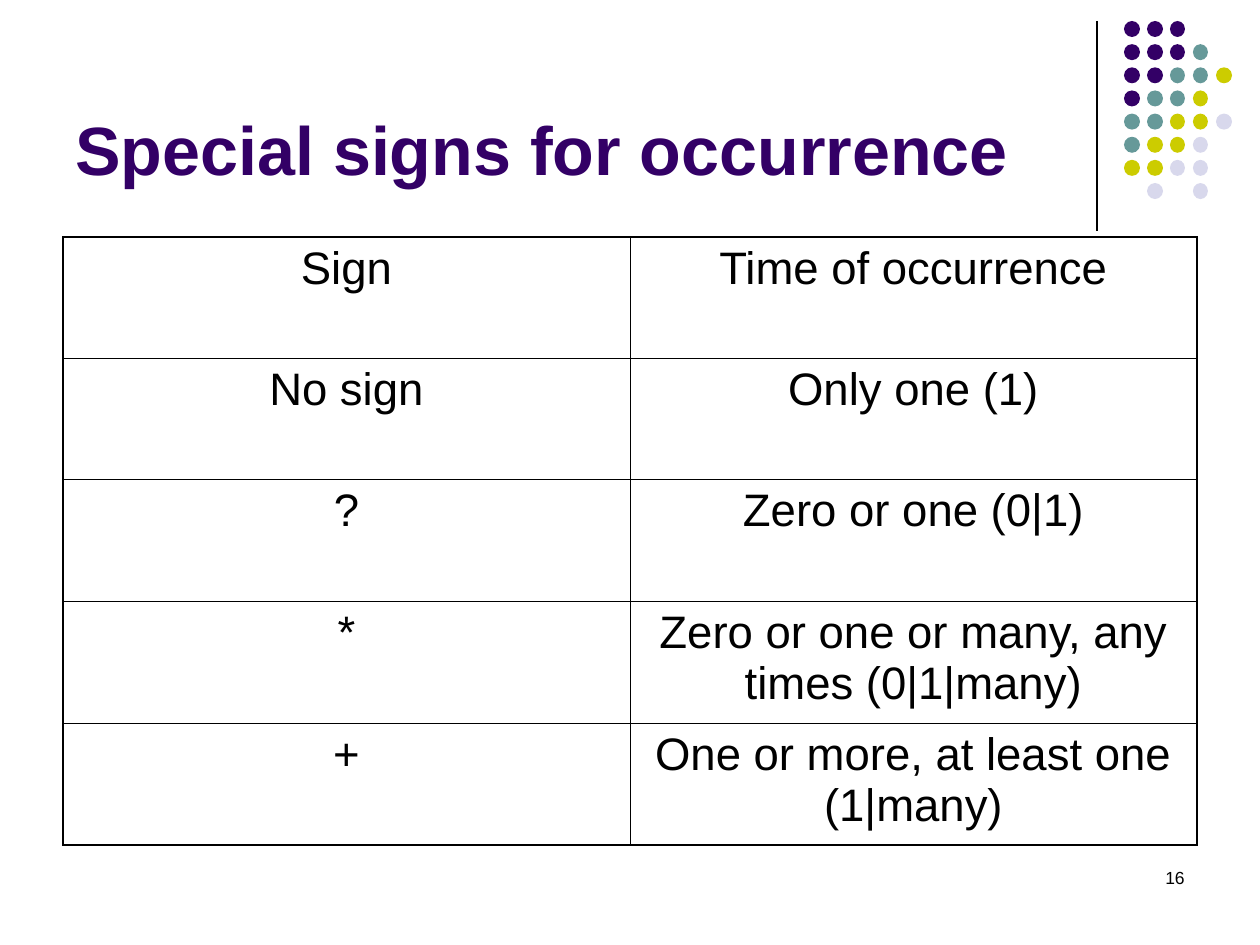
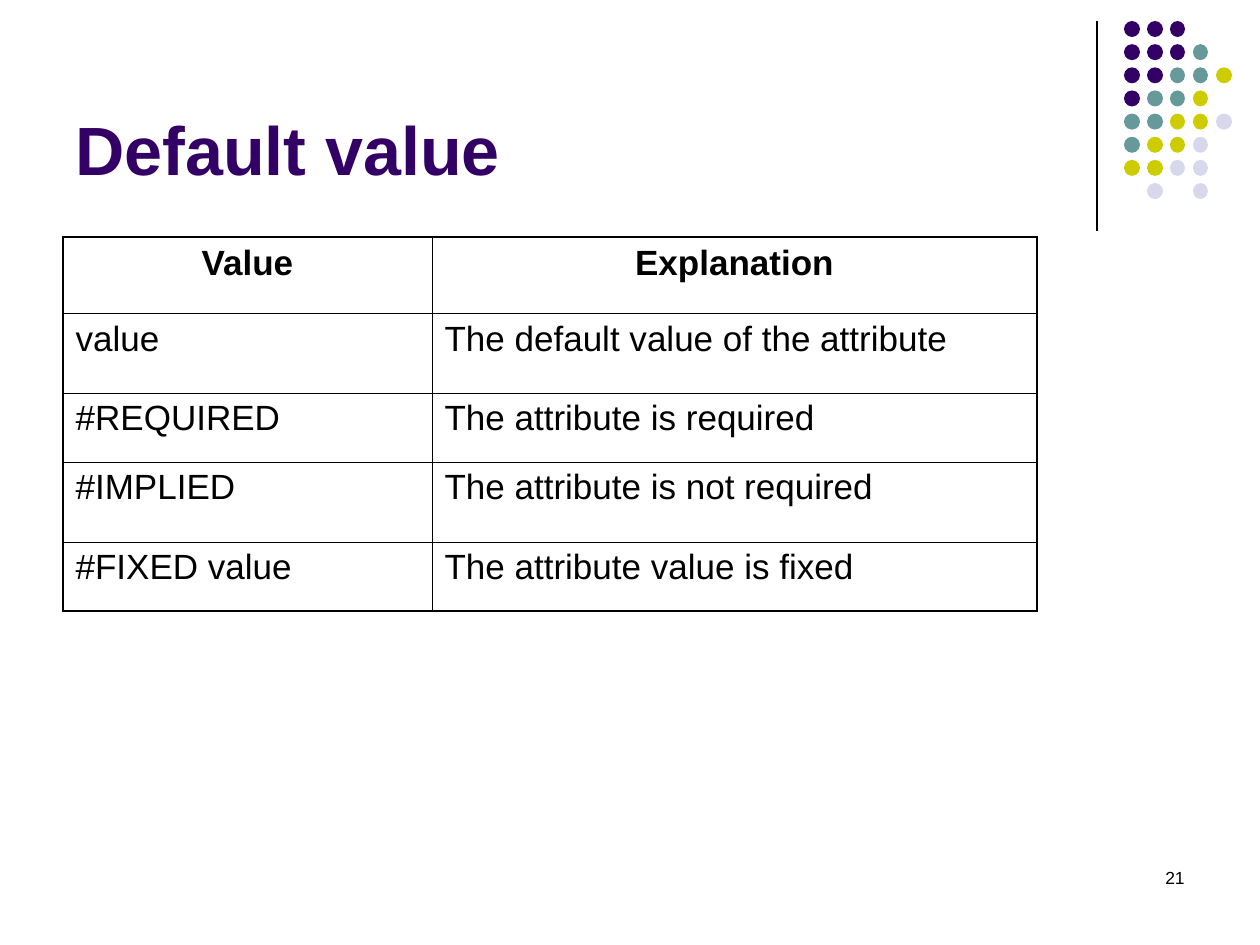
from lxml import etree
from pptx import Presentation
from pptx import util as u
from pptx.dml.color import RGBColor
from pptx.enum import shapes, text
from pptx.oxml.ns import qn

PX = 914400 / 126  # EMU in one pixel
FONT = "Arial"
HEX = {"ink": "000000", "violet": "330066", "teal": "669999",
       "lime": "CCCC00", "mist": "D8D8EC"}

# Dot pattern: one letter per dot, a space for a gap
DOTS = ["vvv", "vvvt", "vvttl", "vttl", "ttllm", "tllm", "llmm", " m m"]
KEYS = {"v": "violet", "t": "teal", "l": "lime", "m": "mist"}

LEFT, CENTER, RIGHT = (text.PP_ALIGN.LEFT, text.PP_ALIGN.CENTER,
                       text.PP_ALIGN.RIGHT)
THIN, THICK = 0.45, 1.08

SIGNS = [("Sign", "Time of occurrence"),
         ("No sign", "Only one (1)"),
         ("?", "Zero or one (0|1)"),
         ("*", "Zero or one or many, any times (0|1|many)"),
         ("+", "One or more, at least one (1|many)")]
VALUES = [("Value", "Explanation"),
          ("value", "The default value of the attribute"),
          ("#REQUIRED", "The attribute is required"),
          ("#IMPLIED", "The attribute is not required"),
          ("#FIXED value", "The attribute value is fixed")]


def px(n):
    return u.Emu(round(n * PX))


def color(name):
    return RGBColor.from_string(HEX[name])


def write(para, words, size, tint="ink", bold=False, align=LEFT):
    para.alignment = align
    run = para.add_run()
    run.text = words
    run.font.name = FONT
    run.font.size = u.Pt(size)
    run.font.bold = bold
    run.font.color.rgb = color(tint)


def label(slide, box, words, size, anchor=text.MSO_ANCHOR.TOP, **style):
    frame = slide.shapes.add_textbox(*map(px, box)).text_frame
    frame.word_wrap = True
    frame.vertical_anchor = anchor
    write(frame.paragraphs[0], words, size, **style)


def rule(slide, x, top, end):
    line = slide.shapes.add_connector(
        shapes.MSO_CONNECTOR.STRAIGHT, px(x), px(top), px(x), px(end))
    line.line.color.rgb = color("ink")
    line.line.width = u.Pt(0.74)
    props = line._element.spPr
    etree.SubElement(props, qn("a:effectLst"))


def dots(slide):
    group = slide.shapes.add_group_shape()
    for row, marks in enumerate(DOTS):
        for col, mark in enumerate(marks):
            if mark == " ":
                continue
            wide = 15 if col in (2, 3) else 16
            dot = group.shapes.add_shape(
                shapes.MSO_SHAPE.OVAL, px(1124 + 23 * col),
                px(21 + 23.15 * row), px(wide), px(16))
            dot.shadow.inherit = False
            dot.fill.solid()
            dot.fill.fore_color.rgb = color(KEYS[mark])
            dot.line.fill.background()


def edge(cell, side, width):
    props = cell._tc.get_or_add_tcPr()
    line = etree.SubElement(props, qn("a:ln" + side), w=str(u.Pt(width)))
    fill = etree.SubElement(line, qn("a:solidFill"))
    etree.SubElement(fill, qn("a:srgbClr"), val=HEX["ink"])


def grid(slide, rows, wides, highs, size, gap, bold, align):
    """Table with a thick frame; bold is for the head, align for the body."""
    shape = slide.shapes.add_table(len(rows), len(wides), px(63), px(237),
                                   px(sum(wides)), px(sum(highs)))
    table = shape.table
    table.first_row = table.horz_banding = False
    for col, wide in zip(table.columns, wides):
        col.width = px(wide)
    for row, high in zip(table.rows, highs):
        row.height = px(high)
    for r, words in enumerate(rows):
        for c, word in enumerate(words):
            cell = table.cell(r, c)
            outer = {"L": c == 0, "R": c == len(wides) - 1,
                     "T": r == 0, "B": r == len(rows) - 1}
            for side, out in outer.items():
                edge(cell, side, THICK if out else THIN)
            cell.fill.background()
            para = cell.text_frame.paragraphs[0]
            para.space_before = u.Pt(gap)
            write(para, word, size, bold=bold and r == 0,
                  align=CENTER if r == 0 else align)


def page(deck, title, number):
    """Blank slide with the shared rule, dots, number and title."""
    slide = deck.slides.add_slide(deck.slide_layouts[6])
    rule(slide, 1097, 21, 231)
    dots(slide)
    label(slide, (903, 861, 294, 63), number, 10, align=RIGHT)
    label(slide, (63, 16, 1040, 179), title, 39, text.MSO_ANCHOR.BOTTOM,
          tint="violet", bold=True)
    return slide


def main():
    deck = Presentation()
    deck.slide_width, deck.slide_height = px(1260), px(945)

    # Occurrence signs
    slide = page(deck, "Special signs for occurrence", "16")
    grid(slide, SIGNS, [567, 567], [121, 121, 122, 122, 122],
         size=26, gap=6.5, bold=False, align=CENTER)

    # Attribute defaults
    slide = page(deck, "Default value", "21")
    grid(slide, VALUES, [369, 605], [76, 80, 69, 80, 69],
         size=20, gap=5, bold=True, align=LEFT)

    deck.save("out.pptx")


main()
